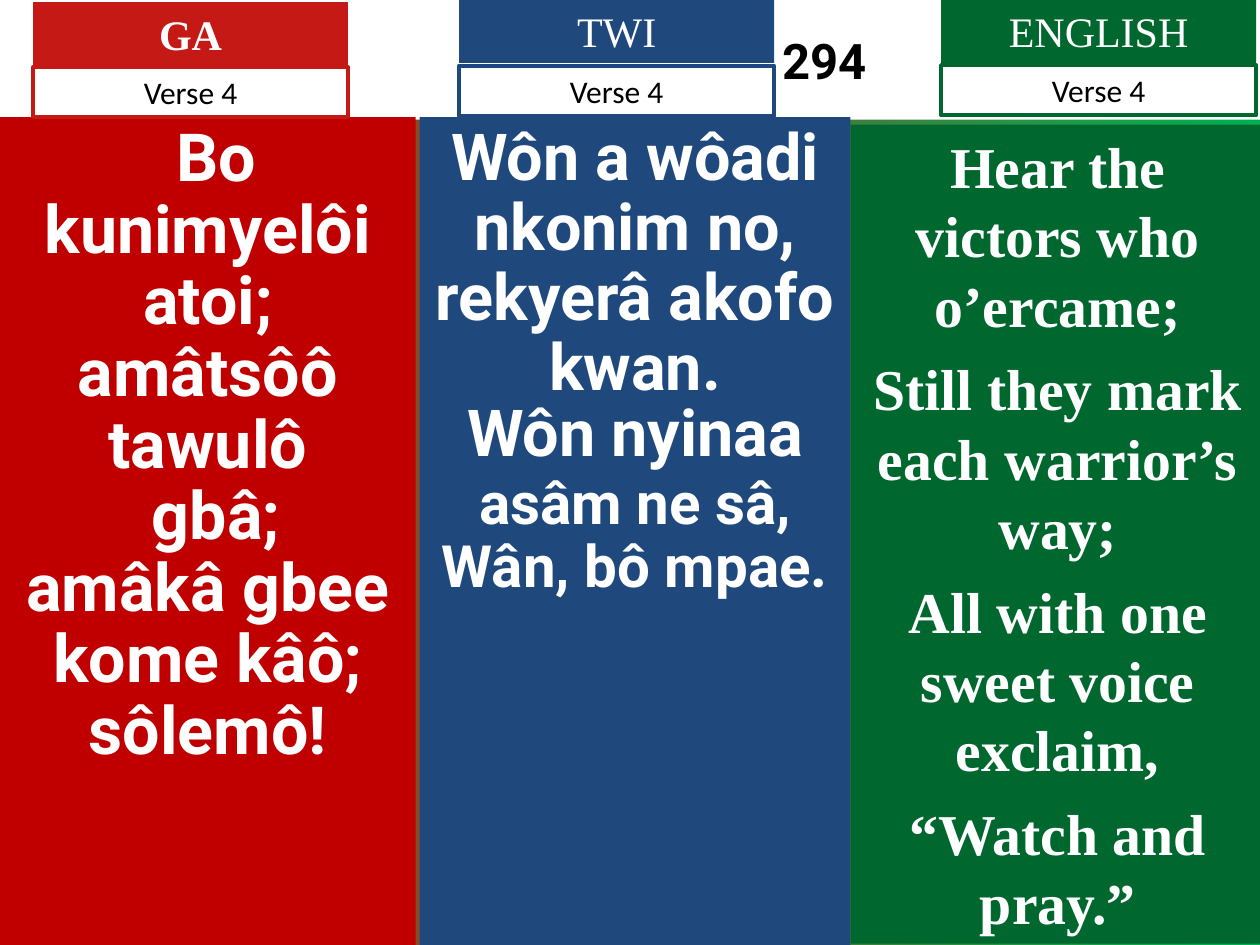
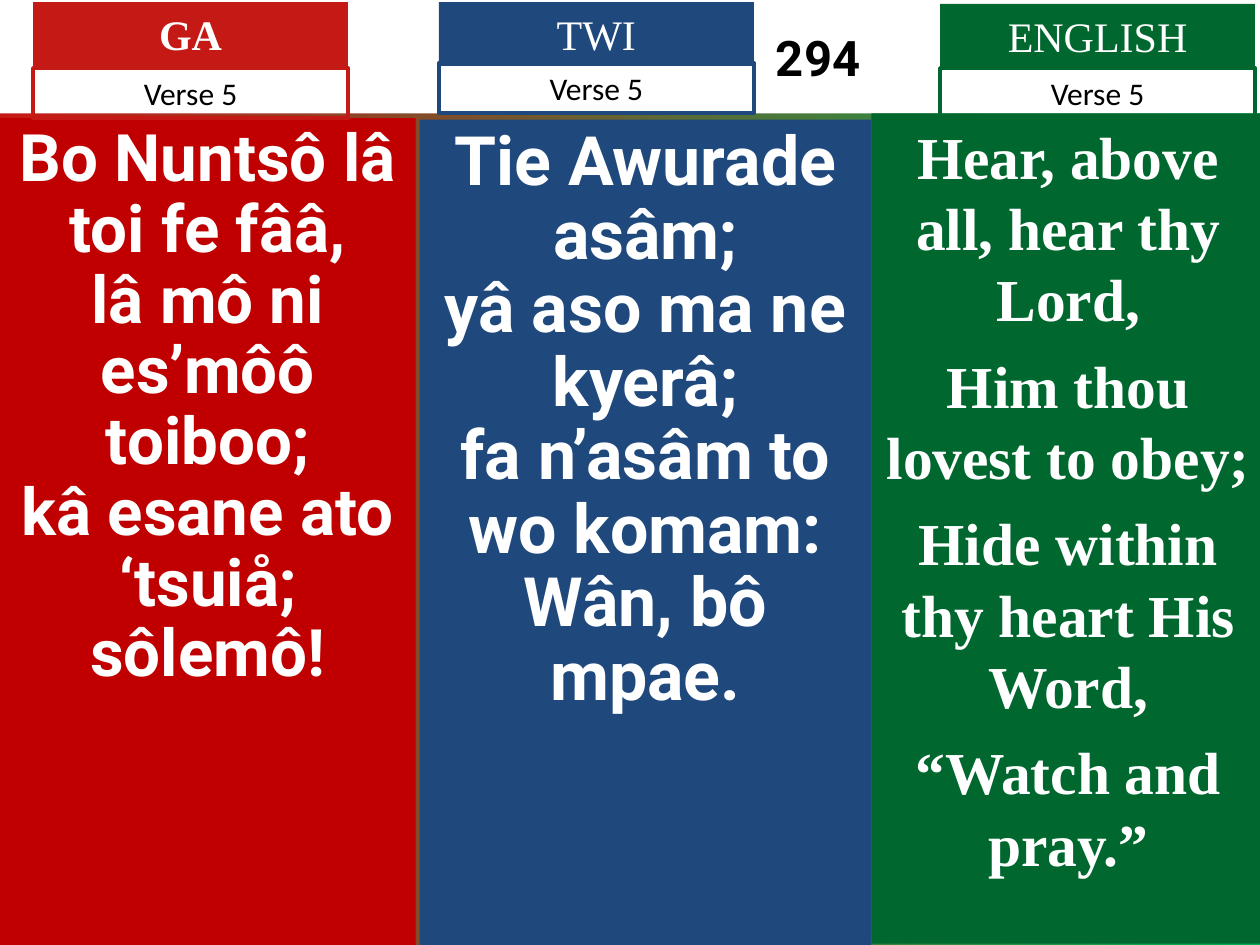
import pptx
import pptx.util
import pptx.dml.color
import pptx.enum.shapes
import pptx.enum.text

Pt = pptx.util.Pt
SERIF, SANS, PLAIN = "Times New Roman", "Roboto", "Calibri"
WHITE, BLACK = "FFFFFF", "000000"
RED, BLUE, GREEN = "C51915", "1F497D", "00682F"
LANGS = [("GA", RED, True), ("TWI", BLUE, False), ("ENGLISH", GREEN, False)]
FILLS = ["C00000", BLUE, GREEN]

# Each line of a column is a list of runs: text, then font and size if they differ.
SLIDES = [
    {
        "verse": "Verse 4",
        "band": (68.4, 222),
        "tags": [(18.9, 1.3, 38.3), (262.4, -0.4, 37.5), (537.8, -0.4, 37.2)],
        "cols": [
            ((0, 67, 237.6, 473), SANS, 37.9, [
                [(" ", SERIF), ("Bo kunimyelôi atoi;",)],
                [("amâtsôô tawulô",)],
                [(" gbâ;",)],
                [("amâkâ gbee kome kâô;",)],
                [("sôlemô!",)],
            ]),
            ((239.8, 67, 246.2, 473), SANS, 37, [
                [("Wôn a wôadi nkonim no,",)],
                [("rekyerâ akofo kwan.",)],
                [("Wôn nyinaa ",), ("asâm ne sâ,", SANS, 33.3)],
                [("Wân, bô mpae.", SANS, 33.3)],
            ]),
            ((486, 71.2, 236.9, 468), SERIF, 33, [
                [("Hear the victors who o’ercame;",)],
                [("Still they mark each warrior’s way;",)],
                [("All with one sweet voice exclaim,",)],
                [("“Watch and pray.”",)],
            ]),
        ],
    },
    {
        "verse": "Verse 5",
        "band": (64.8, 215),
        "tags": [(18.9, 1.3, 38.9), (250.8, 1.3, 36), (537.2, 2.2, 38.9)],
        "cols": [
            ((0, 67.5, 237.6, 472.5), SANS, 37.4, [
                [("Bo Nuntsô lâ toi fe fââ,",)],
                [("lâ mô ni es’môô toiboo;",)],
                [("kâ esane ato ‘tsuiå;",)],
                [("sôlemô!",)],
            ]),
            ((239.8, 68.4, 258, 471.6), SANS, 38.9, [
                [("Tie Awurade asâm;",)],
                [("yâ aso ma ne kyerâ;",)],
                [("fa n’asâm to wo komam:",)],
                [("Wân, bô mpae.",)],
            ]),
            ((498, 64.8, 224.9, 474.5), SERIF, 34, [
                [("Hear, above all, hear thy Lord,",)],
                [("Him thou lovest to obey;",)],
                [("Hide within thy heart His Word,",)],
                [("“Watch and pray.”",)],
            ]),
        ],
    },
]


def rgb(code):
    return pptx.dml.color.RGBColor.from_string(code)


def add_box(slide, area, fill=None, edge=None):
    """Add a plain rectangle and return its empty text frame."""
    kind = pptx.enum.shapes.MSO_SHAPE.RECTANGLE
    box = slide.shapes.add_shape(kind, *(Pt(side) for side in area))
    box.shadow.inherit = False
    if fill:
        box.fill.solid()
        box.fill.fore_color.rgb = rgb(fill)
    else:
        box.fill.background()
    if edge:
        box.line.color.rgb = rgb(edge)
        box.line.width = Pt(2.25)
    else:
        box.line.fill.background()
    frame = box.text_frame
    frame.word_wrap = True
    frame.vertical_anchor = pptx.enum.text.MSO_ANCHOR.TOP
    return frame


def add_run(para, text, face, size, color, bold=False):
    para.alignment = pptx.enum.text.PP_ALIGN.CENTER
    run = para.add_run()
    run.text = text
    font = run.font
    font.name, font.size, font.bold = face, Pt(size), bold
    font.color.rgb = rgb(color)


def add_band(slide, height, inset):
    """Add the white top band; the inset sets where the hymn number centres."""
    frame = add_box(slide, (0, 0, 720, height), WHITE)
    frame.margin_left, frame.margin_right = Pt(inset), 0
    frame.vertical_anchor = pptx.enum.text.MSO_ANCHOR.MIDDLE
    add_run(frame.paragraphs[0], "294", SANS, 28, BLACK, True)


def add_lyrics(slide, fill, area, face, size, lines):
    frame = add_box(slide, area, fill)
    serif = face == SERIF
    for num, line in enumerate(lines):
        para = frame.add_paragraph() if num else frame.paragraphs[0]
        sizes = []
        for text, *style in line:
            own_face = style[0] if style else face
            own_size = style[1] if len(style) > 1 else size
            sizes.append(own_size)
            add_run(para, text, own_face, own_size, WHITE, True)
        mean = sum(sizes) / len(sizes)
        para.line_spacing = Pt(round(mean * (1.2 if serif else 1.08), 1))
        if serif and num:
            para.space_before = Pt(size / 4)


def add_tag(slide, lang, verse, left, top, drop):
    """Add a language tag with its outlined verse box beneath."""
    name, color, bold = lang
    frame = add_box(slide, (left, top, 180, 36.4), color)
    add_run(frame.paragraphs[0], name, SERIF, 24, WHITE, bold)
    frame = add_box(slide, (left, drop, 180, 28.8), edge=color)
    add_run(frame.paragraphs[0], verse, PLAIN, 18, BLACK)


def paint_back(slide):
    fill = slide.background.fill
    fill.gradient()
    fill.gradient_angle = 0
    for stop, color in zip(fill.gradient_stops, (RED, "00B050")):
        stop.color.rgb = rgb(color)


def main():
    deck = pptx.Presentation()
    deck.slide_width, deck.slide_height = Pt(720), Pt(540)
    for page in SLIDES:
        slide = deck.slides.add_slide(deck.slide_layouts[6])
        paint_back(slide)
        add_band(slide, *page["band"])
        for fill, col in zip(FILLS, page["cols"]):
            add_lyrics(slide, fill, *col)
        for lang, spot in zip(LANGS, page["tags"]):
            add_tag(slide, lang, page["verse"], *spot)
    deck.save("out.pptx")


if __name__ == "__main__":
    main()
